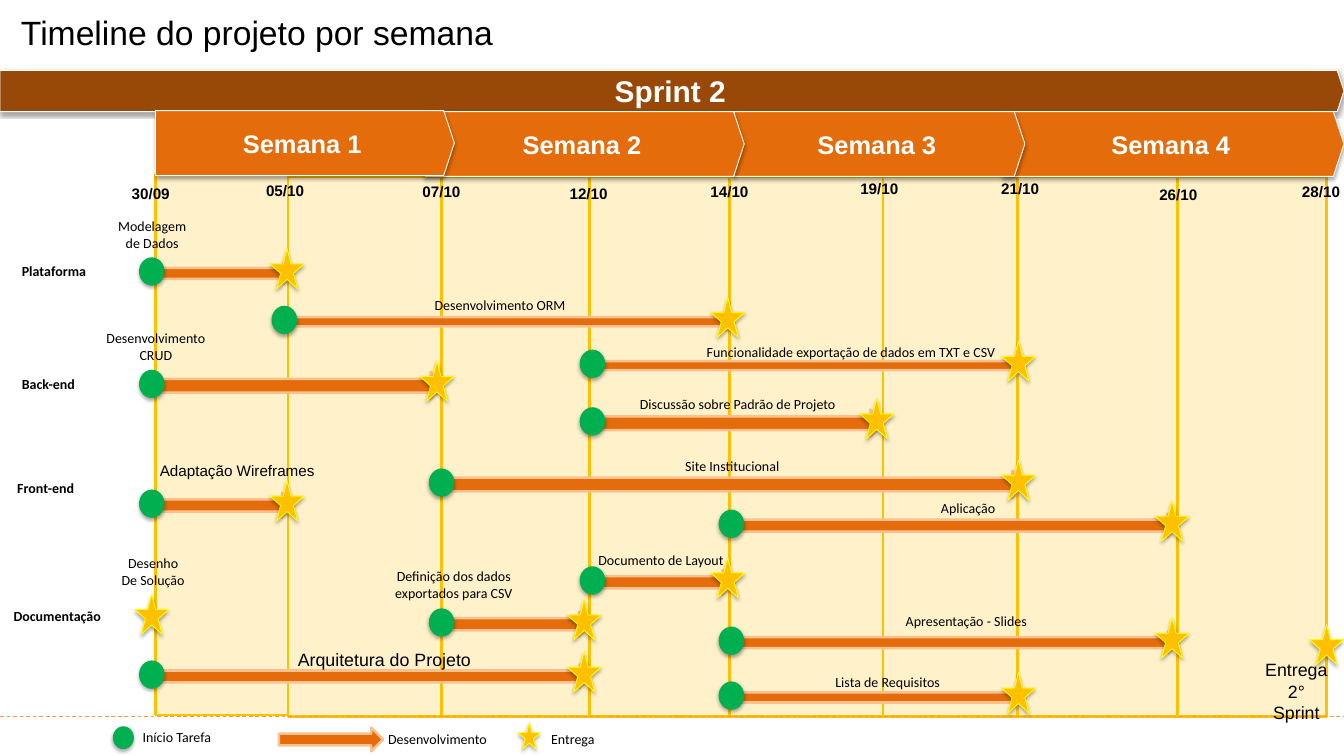
import pptx
import pptx.util
import pptx.dml.color
import pptx.enum.dml
import pptx.enum.shapes
import pptx.enum.text
import pptx.oxml

WIDTH, HEIGHT = 14.7, 8.27
COLORS = {"black": "000000", "white": "FFFFFF", "sprint": "984807", "task": "E46C0A",
          "task edge": "FAC090", "start": "00B050", "gold": "FFC000",
          "star edge": "FFFF00", "baseline": "F79646"}
TITLE = "Timeline do projeto por semana"
SPRINT = "Sprint 2"
# name, left, top, width
WEEKS = [("Semana 1", 1.7, 1.21, 3.27), ("Semana 2", 4.65, 1.22, 3.49),
         ("Semana 3", 8.03, 1.22, 3.18), ("Semana 4", 10.97, 1.22, 3.73)]
# date: column line, date left, date top, centre of start marks, centre of stars
DAYS = {"30/09": (1.7, 1.29, 1.94, 1.66, 1.66), "05/10": (3.15, 2.76, 1.91, 3.11, 3.14),
        "07/10": (4.83, 4.47, 1.92, 4.83, 4.78), "12/10": (6.45, 6.08, 1.94, 6.48, 6.39),
        "14/10": (7.98, 7.62, 1.92, 8.0, 7.96), "19/10": (9.66, 9.26, 1.89, 9.66, 9.59),
        "21/10": (11.13, 10.8, 1.89, 11.13, 11.14), "26/10": (12.88, 12.53, 1.95, 12.88, 12.82),
        "28/10": (14.51, 14.09, 1.92, 14.51, 14.51)}
# area, left, top, width
AREAS = [("Plataforma", 0.14, 2.82, 0.92), ("Back-end", 0.14, 4.06, 0.79),
         ("Front-end", 0.09, 5.2, 0.83), ("Documentação", 0.05, 6.6, 1.17)]
# start, end, centre of row, arrow height
TASKS = [("30/09", "05/10", 2.99, 0.24), ("05/10", "14/10", 3.52, 0.2),
         ("30/09", "07/10", 4.22, 0.3), ("12/10", "21/10", 4.0, 0.2),
         ("12/10", "19/10", 4.63, 0.3), ("30/09", "05/10", 5.53, 0.27),
         ("07/10", "21/10", 5.3, 0.3), ("14/10", "26/10", 5.75, 0.26),
         ("07/10", "12/10", 6.83, 0.27), ("12/10", "14/10", 6.37, 0.27),
         ("30/09", "12/10", 7.4, 0.26), ("14/10", "26/10", 7.03, 0.24),
         ("14/10", "21/10", 7.63, 0.22)]
DELIVERIES = [("30/09", 6.72), ("28/10", 7.05)]
# text, left, top, width, height, size, font, wrap
LABELS = [("Modelagem\nde Dados", 1.17, 2.33, 0.99, 0.47, 11, "Calibri", False),
          ("Desenvolvimento ORM", 4.63, 3.2, 1.68, 0.29, 11, "Calibri", False),
          ("Desenvolvimento\nCRUD", 1.06, 3.56, 1.29, 0.47, 11, "Calibri", False),
          ("Funcionalidade exportação de dados em TXT e CSV",
           7.58, 3.71, 3.46, 0.29, 11, "Calibri", True),
          ("Discussão sobre Padrão de Projeto", 6.34, 4.28, 3.46, 0.29, 11, "Calibri", True),
          ("Adaptação Wireframes", 1.64, 5, 1.91, 0.3, 12, "Arial", False),
          ("Site Institucional", 6.28, 4.96, 3.46, 0.29, 11, "Calibri", True),
          ("Aplicação", 8.86, 5.42, 3.46, 0.29, 11, "Calibri", True),
          ("Desenho\nDe Solução", 1.23, 6.02, 0.89, 0.47, 11, "Calibri", False),
          ("Definição dos dados\nexportados para CSV", 4.1, 6.16, 1.73, 0.47, 11, "Calibri", True),
          ("Documento de Layout", 6.32, 5.98, 1.82, 0.29, 11, "Calibri", True),
          ("Arquitetura do Projeto", 3.15, 7.05, 2.11, 0.34, 14, "Arial", False),
          ("Apresentação - Slides", 8.84, 6.65, 3.46, 0.29, 11, "Calibri", True),
          ("Lista de Requisitos", 7.98, 7.32, 3.46, 0.29, 11, "Calibri", True),
          ("Entrega\n2° Sprint", 13.71, 7.16, 0.94, 0.57, 14, "Arial", True),
          ("Início Tarefa", 1.45, 7.92, 0.97, 0.29, 11, "Calibri", False),
          ("Desenvolvimento", 4.14, 7.94, 1.29, 0.29, 11, "Calibri", False),
          ("Entrega", 5.92, 7.94, 0.69, 0.29, 11, "Calibri", False)]

KINDS = pptx.enum.shapes.MSO_SHAPE
ALIGN = pptx.enum.text.PP_ALIGN
MIDDLE = pptx.enum.text.MSO_ANCHOR.MIDDLE
DRAWING = 'xmlns:a="http://schemas.openxmlformats.org/drawingml/2006/main"'
SHADOW = (f'<a:effectLst {DRAWING}><a:outerShdw blurRad="39370" dist="22860" dir="5400000" '
          'rotWithShape="0"><a:srgbClr val="000000"><a:alpha val="35000"/></a:srgbClr>'
          '</a:outerShdw></a:effectLst>')

deck = pptx.Presentation()
deck.slide_width = pptx.util.Inches(WIDTH)
deck.slide_height = pptx.util.Inches(HEIGHT)
slide = deck.slides.add_slide(deck.slide_layouts[6])


def inches(*lengths):
    return [pptx.util.Inches(length) for length in lengths]


def rgb(color):
    return pptx.dml.color.RGBColor.from_string(COLORS[color])


def add_part(kind, box, fill, edge=None, edge_width=0.75, shadow=True):
    part = slide.shapes.add_shape(kind, *inches(*box))
    part.shadow.inherit = False
    part.fill.solid()
    part.fill.fore_color.rgb = rgb(fill)
    if edge:
        part.line.color.rgb = rgb(edge)
        part.line.width = pptx.util.Pt(edge_width)
    else:
        part.line.fill.background()
    if shadow:
        properties = part._element.spPr
        properties.remove(properties.find(pptx.oxml.ns.qn("a:effectLst")))
        properties.append(pptx.oxml.parse_xml(SHADOW))
    return part


def write(part, text, size, font="Arial", color="black", bold=False, align=ALIGN.CENTER):
    part.text_frame.text = text
    for paragraph in part.text_frame.paragraphs:
        paragraph.alignment = align
        for run in paragraph.runs:
            run.font.size = pptx.util.Pt(size)
            run.font.name = font
            run.font.bold = bold
            run.font.color.rgb = rgb(color)


def add_text(text, box, size, wrap=True, margins=None, **style):
    part = slide.shapes.add_textbox(*inches(*box))
    frame = part.text_frame
    frame.word_wrap = wrap
    if margins:
        side, end = inches(*margins)
        frame.margin_left = frame.margin_right = side
        frame.margin_top = frame.margin_bottom = end
        frame.vertical_anchor = MIDDLE
    write(part, text, size, **style)


def add_banner(text, box, fill, size):
    banner = add_part(KINDS.PENTAGON, box, fill, "white")
    banner.adjustments[0] = 0.164
    banner.text_frame.vertical_anchor = MIDDLE
    write(banner, text, size, color="white", bold=True)


def add_arrow(*box):
    add_part(KINDS.RIGHT_ARROW, box, "task", "task edge", 2, shadow=False)


def add_start(x, y, width=0.28, height=0.31):
    add_part(KINDS.OVAL, (x - width / 2, y - height / 2, width, height), "start")


def add_star(x, y, width=0.37, height=0.44):
    add_part(KINDS.STAR_5_POINT, (x - width / 2, y - height / 2, width, height),
             "gold", "star edge")


# Day columns
lines = [day[0] for day in DAYS.values()]
for left, right in reversed(list(zip(lines, lines[1:]))):
    top = 1.91 if left == lines[0] else 1.93
    column = add_part(KINDS.RECTANGLE, (left, top, right - left, 5.91),
                      "gold", "gold", 2, shadow=False)
    tint = column._element.spPr.find(".//" + pptx.oxml.ns.qn("a:srgbClr"))
    tint.append(pptx.oxml.parse_xml(f'<a:alpha {DRAWING} val="21000"/>'))

# Title, sprint and weeks
add_text(TITLE, (0.11, 0.12, 13.27, 0.45), 26.5, margins=(0.12, 0), align=ALIGN.LEFT)
add_banner(SPRINT, (0, 0.77, WIDTH, 0.45), "sprint", 23.5)
for week, left, top, width in reversed(WEEKS):
    add_banner(week, (left, top, width, 0.71), "task", 20)

# Base line
baseline = slide.shapes.add_connector(pptx.enum.shapes.MSO_CONNECTOR.STRAIGHT,
                                      *inches(0, 7.84, WIDTH, 7.84))
baseline.line.color.rgb = rgb("baseline")
baseline.line.width = pptx.util.Pt(0.75)
baseline.line.dash_style = pptx.enum.dml.MSO_LINE.DASH
baseline._element.spPr.append(pptx.oxml.parse_xml(f"<a:effectLst {DRAWING}/>"))

# Dates and areas
for date, (_, left, top, _, _) in DAYS.items():
    add_text(date, (left, top, 0.73, 0.35), 12, margins=(0.15, 0.07),
             bold=True, align=ALIGN.LEFT)
for area, left, top, width in AREAS:
    add_text(area, (left, top, width, 0.29), 11, wrap=False, font="Calibri",
             bold=True, align=ALIGN.LEFT)

# Tasks and single deliveries
for start, end, row, height in TASKS:
    start_x, star_x = DAYS[start][3], DAYS[end][4]
    arrow_left = start_x + 0.07
    add_arrow(arrow_left, row - height / 2, star_x + 0.08 - arrow_left, height)
    add_start(start_x, row - 0.02)
    add_star(star_x, row - 0.05)
for date, row in DELIVERIES:
    add_star(DAYS[date][4], row)

# Legend marks
add_start(1.35, 8.07, 0.23, 0.25)
add_arrow(3.05, 7.96, 1.14, 0.26)
add_star(5.79, 8.05, 0.24, 0.29)

# Task and legend labels
for text, left, top, width, height, size, font, wrap in LABELS:
    add_text(text, (left, top, width, height), size, wrap=wrap, font=font)

deck.save("out.pptx")
